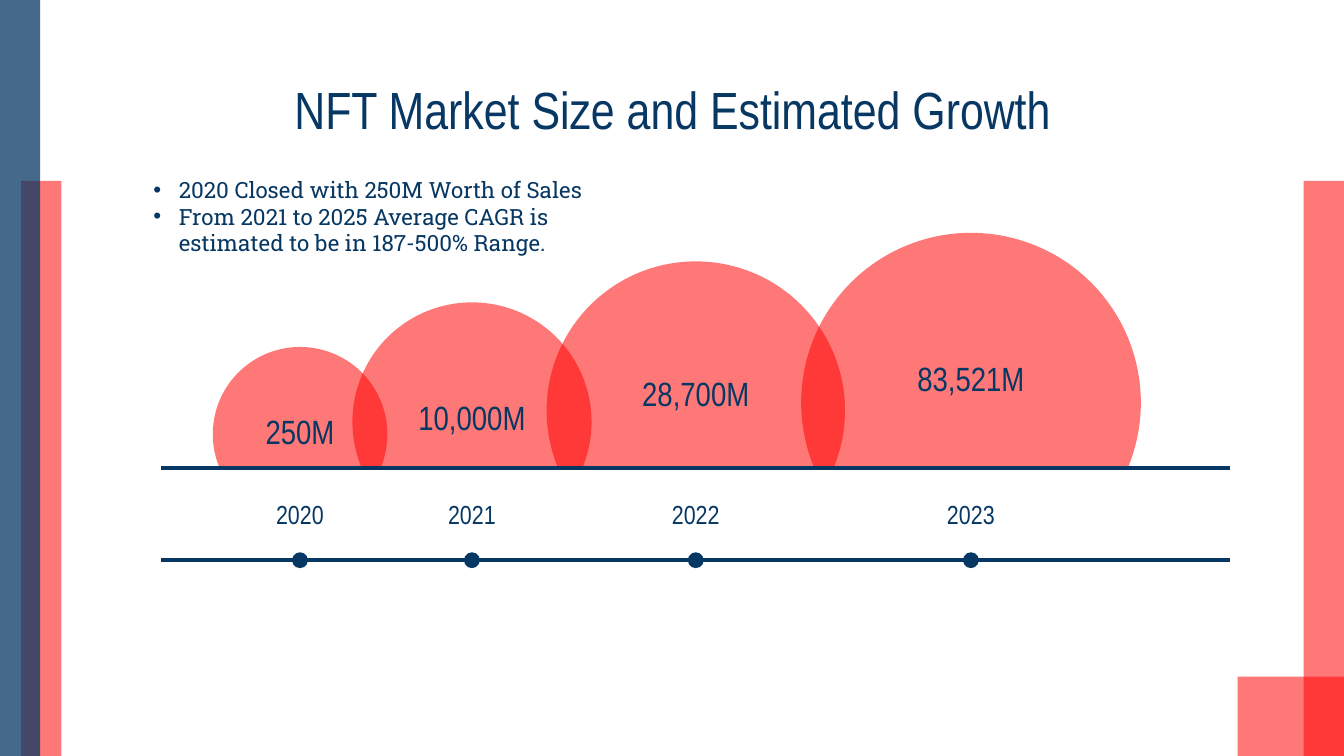
from dataclasses import dataclass
from math import radians, sin

from lxml.etree import SubElement
from pptx import Presentation
from pptx.dml.color import RGBColor
from pptx.enum.shapes import MSO_CONNECTOR as Connector, MSO_SHAPE as Shape
from pptx.enum.text import MSO_ANCHOR as Anchor, MSO_AUTO_SIZE as AutoSize, PP_ALIGN as Align
from pptx.oxml.ns import qn
from pptx.util import Cm, Pt


@dataclass(frozen=True)
class Theme:
    navy: RGBColor = RGBColor(0x07, 0x37, 0x63)
    red: RGBColor = RGBColor(0xFF, 0x00, 0x00)
    navy_opacity: int = 75
    red_opacity: int = 53
    heading_font: str = "Arial Narrow"
    body_font: str = "Roboto Slab"
    title_size: Pt = Pt(28)
    value_size: Pt = Pt(18)
    year_size: Pt = Pt(14)
    body_size: Pt = Pt(12)
    line_width: Pt = Pt(2.25)


THEME = Theme()
WIDTH, HEIGHT = 25.4, 14.29
AXIS_LEFT, AXIS_RIGHT = 3.05, 23.24
BASELINE, TIMELINE = 8.84, 10.59
CHORD_TURN, CHORD_DIP = 112.2, 22.5
DOT = 0.3
LABEL_WIDTH, LABEL_HEIGHT = 3.84, 0.99
YEAR_TOP = 9.17

# year, value, centre, bubble diameter, top of the value label
MARKET = [
    ("2020", "250M", 5.67, 3.3, 7.65),
    ("2021", "10,000M", 8.92, 4.52, 7.39),
    ("2022", "28,700M", 13.15, 5.64, 6.93),
    ("2023", "83,521M", 18.35, 6.42, 6.65),
]
FACTS = [
    "2020 Closed with 250M Worth of Sales",
    "From 2021 to 2025 Average CAGR is estimated to be in 187-500% Range.",
]
FRAME_FORMAT = {
    "word_wrap": True,
    "margin_left": Cm(0.25),
    "margin_right": Cm(0.25),
    "margin_top": Cm(0.25),
    "margin_bottom": Cm(0.25),
}


def apply_format(target, values):
    for name, value in values.items():
        setattr(target, name, value)


def format_font(paragraph, size, face):
    apply_format(paragraph.font, {"size": size, "name": face})
    paragraph.font.color.rgb = THEME.navy


def add_solid(slide, preset, box, color, opacity=100):
    solid = slide.shapes.add_shape(preset, *map(Cm, box))
    solid.shadow.inherit = False
    solid.line.fill.background()
    solid.fill.solid()
    solid.fill.fore_color.rgb = color
    if opacity < 100:
        tint = solid.fill._xPr.find(".//" + qn("a:srgbClr"))
        SubElement(tint, qn("a:alpha"), val=str(opacity * 1000))
    return solid


def add_stripes(slide):
    stripe, top = 0.76, 3.42
    corner_left, corner_top = 23.39, 12.79
    right = WIDTH - stripe
    red, navy = (THEME.red, THEME.red_opacity), (THEME.navy, THEME.navy_opacity)
    for box, tone in [
        ((0.4, top, stripe, HEIGHT - top), red),
        ((0, 0, stripe, HEIGHT), navy),
        ((right, top, stripe, HEIGHT - top), red),
        ((corner_left, corner_top, WIDTH - corner_left, HEIGHT - corner_top), red),
    ]:
        add_solid(slide, Shape.RECTANGLE, box, *tone)


def add_title(slide, text):
    title = slide.shapes.title
    apply_format(title, {"left": Cm(2), "top": Cm(1.5), "width": Cm(21.41), "height": Cm(1.12)})
    frame = title.text_frame
    frame.text = text
    apply_format(frame, FRAME_FORMAT | {"vertical_anchor": Anchor.MIDDLE,
                                        "auto_size": AutoSize.NONE})
    frame.paragraphs[0].alignment = Align.CENTER
    format_font(frame.paragraphs[0], THEME.title_size, THEME.heading_font)


def add_label(slide, text, center, top, size, anchor):
    left = center - LABEL_WIDTH / 2
    label = slide.shapes.add_textbox(*map(Cm, (left, top, LABEL_WIDTH, LABEL_HEIGHT)))
    frame = label.text_frame
    frame.text = text
    apply_format(frame, FRAME_FORMAT | {"vertical_anchor": anchor})
    frame.paragraphs[0].alignment = Align.CENTER
    format_font(frame.paragraphs[0], size, THEME.heading_font)


def add_bubble(slide, center, diameter):
    """Turn a chord so that its flat side lies on the baseline."""
    radius = diameter / 2
    middle = BASELINE - radius * sin(radians(CHORD_DIP))
    box = (center - radius, middle - radius, diameter, diameter)
    bubble = add_solid(slide, Shape.CHORD, box, THEME.red, THEME.red_opacity)
    bubble.rotation = CHORD_TURN


def add_axis(slide, y):
    ends = map(Cm, (AXIS_LEFT, y, AXIS_RIGHT, y))
    axis = slide.shapes.add_connector(Connector.STRAIGHT, *ends)
    axis.line.color.rgb = THEME.navy
    axis.line.width = THEME.line_width
    SubElement(axis._element.spPr, qn("a:effectLst"))


def add_facts(slide):
    frame = slide.shapes.add_textbox(Cm(2.29), Cm(3.2), Cm(9.6), Cm(1.8)).text_frame
    apply_format(frame, {"word_wrap": True, "auto_size": AutoSize.SHAPE_TO_FIT_TEXT})
    for index, fact in enumerate(FACTS):
        paragraph = frame.add_paragraph() if index else frame.paragraphs[0]
        properties = paragraph._p.get_or_add_pPr()
        properties.set("marL", str(Cm(0.84)))
        properties.set("indent", str(Cm(-0.48)))
        bullet_color = SubElement(properties, qn("a:buClr"))
        SubElement(bullet_color, qn("a:srgbClr"), val=str(THEME.navy))
        SubElement(properties, qn("a:buFont"), typeface="Arial")
        SubElement(properties, qn("a:buChar"), char="•")
        paragraph.add_run().text = fact
        format_font(paragraph, THEME.body_size, THEME.body_font)


def main():
    deck = Presentation()
    apply_format(deck, {"slide_width": Cm(WIDTH), "slide_height": Cm(HEIGHT)})
    slide = deck.slides.add_slide(deck.slide_layouts.get_by_name("Title Only"))

    add_stripes(slide)
    add_title(slide, "NFT Market Size and Estimated Growth")
    for _, _, center, diameter, _ in MARKET:
        add_bubble(slide, center, diameter)
    for y in (BASELINE, TIMELINE):
        add_axis(slide, y)
    for year, value, center, _, value_top in MARKET:
        dot_box = (center - DOT / 2, TIMELINE - DOT / 2, DOT, DOT)
        add_solid(slide, Shape.OVAL, dot_box, THEME.navy)
        add_label(slide, year, center, YEAR_TOP, THEME.year_size, Anchor.TOP)
        add_label(slide, value, center, value_top, THEME.value_size, Anchor.MIDDLE)
    add_facts(slide)
    deck.save("out.pptx")


if __name__ == "__main__":
    main()
